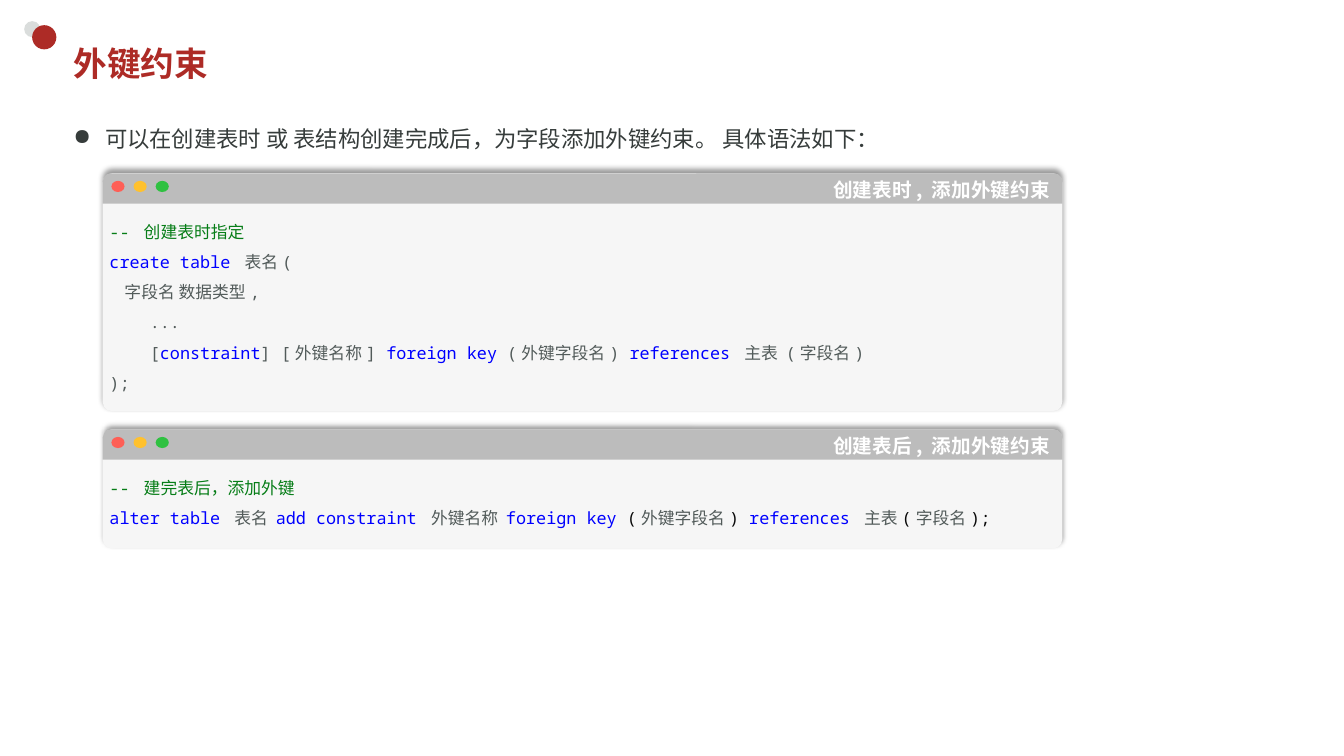
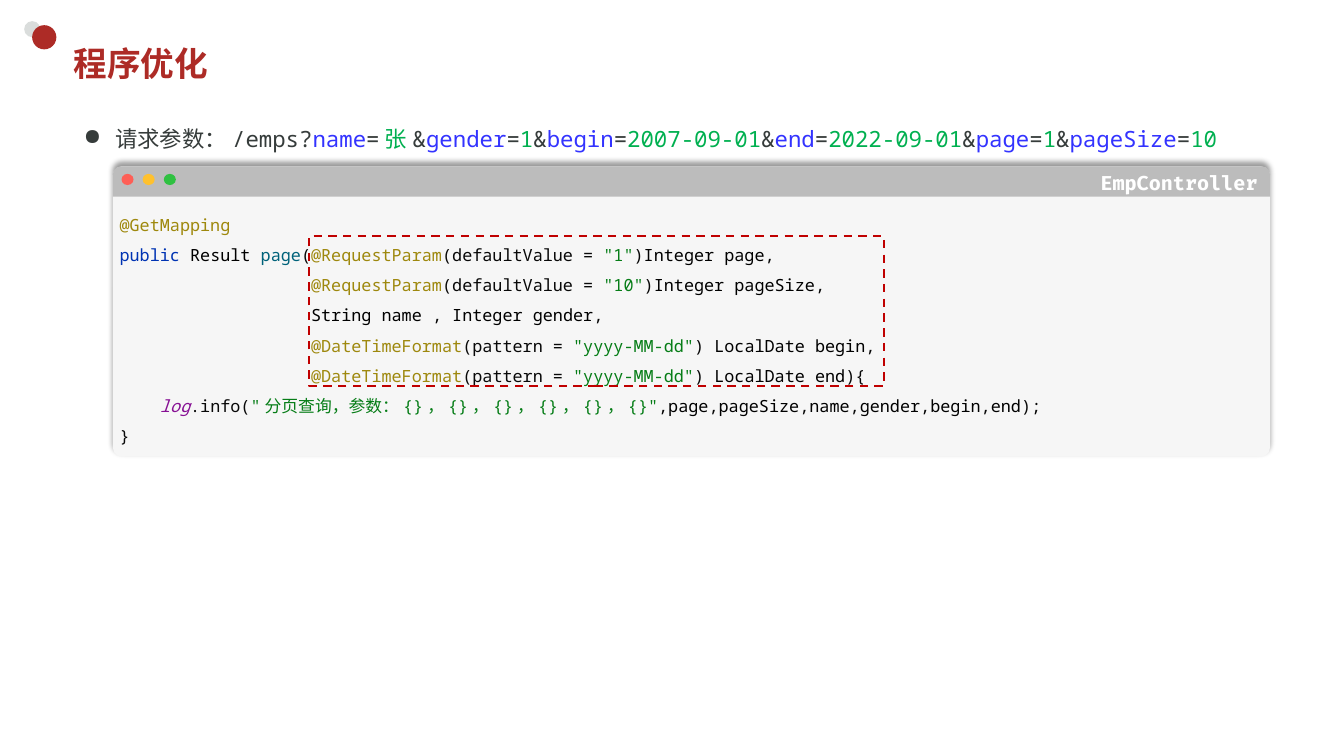
from dataclasses import dataclass

from lxml.etree import SubElement
from pptx import Presentation
from pptx.dml.color import RGBColor
from pptx.enum.dml import MSO_LINE_DASH_STYLE as Dash
from pptx.enum.lang import MSO_LANGUAGE_ID as Language
from pptx.enum.shapes import MSO_SHAPE as Shape
from pptx.enum.text import MSO_ANCHOR as Anchor, PP_ALIGN as Align
from pptx.oxml.ns import qn
from pptx.util import Pt


# Colours, fonts and type sizes
@dataclass(frozen=True)
class Theme:
    red: str = "AD2B26"
    silver: str = "DADDDC"
    ink: str = "363C3B"
    white: str = "FFFFFF"
    panel: str = "F6F6F6"
    header: str = "BCBCBC"
    frame: str = "C00000"
    lights: tuple = ("FE5F56", "FFC12E", "2FC141")
    # Code colours
    comment: str = "067D17"
    string: str = "067D17"
    sql: str = "0000FF"
    name: str = "525B5A"
    java: str = "0033B3"
    method: str = "00627A"
    note: str = "9E880D"
    field: str = "871094"
    mark: str = "080808"
    black: str = "000000"
    # Request parameters
    key: str = "3333FF"
    value: str = "00B050"
    # Type
    mono: str = "Noto Sans Mono"
    han: str = "Noto Sans CJK JP"
    label: str = "Fira Code"
    title_size: int = 24
    body_size: int = 16
    header_size: int = 14
    code_size: int = 12


THEME = Theme()


def add_span(para, text, *, size, color, font=THEME.mono, bold=False, italic=False):
    span = para.add_run()
    span.text = text
    style = span.font
    style.name, style.size = font, Pt(size)
    style.bold, style.italic = bold, italic
    style.color.rgb = RGBColor.from_string(color)
    style.language_id = Language.SIMPLIFIED_CHINESE
    props = span._r.get_or_add_rPr()
    SubElement(props, qn("a:ea"), typeface=THEME.han)


def set_insets(frame, left, top, right, bottom):
    frame.margin_left, frame.margin_top = Pt(left), Pt(top)
    frame.margin_right, frame.margin_bottom = Pt(right), Pt(bottom)


class Deck:
    def __init__(self, theme):
        self.theme = theme
        self.file = Presentation()
        self.file.slide_width, self.file.slide_height = Pt(960), Pt(540)
        self.page = None

    def add_page(self, title):
        theme = self.theme
        self.page = self.file.slides.add_slide(self.file.slide_layouts[5])
        # Corner dots
        self.add_shape(Shape.OVAL, 17.3, 15.1, 11.5, 11.5, theme.silver)
        self.add_shape(Shape.OVAL, 23, 18, 17.3, 17.3, theme.red)
        # Title
        box = self.page.shapes.title
        box.left, box.top, box.width, box.height = Pt(45.4), Pt(26.6), Pt(846), Pt(37.4)
        box.text_frame.vertical_anchor = Anchor.MIDDLE
        para = box.text_frame.paragraphs[0]
        para.alignment = Align.LEFT
        add_span(para, title, size=theme.title_size, color=theme.red, bold=True)

    def add_shape(self, kind, left, top, width, height, fill=None, parent=None):
        shapes = (parent or self.page).shapes
        shape = shapes.add_shape(kind, Pt(left), Pt(top), Pt(width), Pt(height))
        shape.shadow.inherit = False
        shape.line.fill.background()
        if fill:
            shape.fill.solid()
            shape.fill.fore_color.rgb = RGBColor.from_string(fill)
        else:
            shape.fill.background()
        return shape

    def add_bullet(self, left, spans):
        box = self.page.shapes.add_textbox(Pt(left), Pt(75.6), Pt(871), Pt(37.4))
        frame = box.text_frame
        frame.word_wrap = True
        frame.vertical_anchor = Anchor.MIDDLE
        para = frame.paragraphs[0]
        para.line_spacing = 1.5
        props = para._p.get_or_add_pPr()
        props.set("marL", str(Pt(22.5)))
        props.set("indent", str(-Pt(22.5)))
        SubElement(props, qn("a:buChar"), char="●")
        for text, color in spans:
            add_span(para, text, size=self.theme.body_size, color=color)

    def add_shadow(self, shape):
        effects = shape._element.spPr.find(qn("a:effectLst"))
        shadow = SubElement(effects, qn("a:outerShdw"), blurRad=str(Pt(4)),
                            dist=str(Pt(3)), dir=str(270 * 60000), rotWithShape="0")
        color = SubElement(shadow, qn("a:srgbClr"), val=self.theme.black)
        SubElement(color, qn("a:alpha"), val="40000")

    def add_code(self, left, top, width, height, heading, lines, *,
                 font=THEME.han, light=9.4, step=15.8):
        theme = self.theme
        group = self.page.shapes.add_group_shape()
        # Panel with code
        panel = self.add_shape(Shape.ROUNDED_RECTANGLE, left, top, width, height,
                               theme.panel, group)
        panel.adjustments[0] = 6.6 / height
        self.add_shadow(panel)
        frame = panel.text_frame
        frame.word_wrap = True
        frame.vertical_anchor = Anchor.TOP
        set_insets(frame, 2.9, 25.2, 2.9, 0)
        for index, line in enumerate(lines):
            para = frame.add_paragraph() if index else frame.paragraphs[0]
            para.alignment = Align.LEFT
            para.line_spacing = 1.5
            for text, color in line:
                add_span(para, text, size=theme.code_size, color=color,
                         italic=color == theme.field)
        # Header bar
        bar = self.add_shape(Shape.ROUND_2_SAME_RECTANGLE, left, top, width, 21.6,
                             theme.header, group)
        bar.adjustments[0], bar.adjustments[1] = 0.27, 0
        bar.text_frame.vertical_anchor = Anchor.MIDDLE
        para = bar.text_frame.paragraphs[0]
        para.alignment = Align.RIGHT
        add_span(para, heading, size=theme.header_size, color=theme.white,
                 font=font, bold=True)
        # Window lights
        for index, color in enumerate(theme.lights):
            self.add_shape(Shape.OVAL, left + 6.2 + index * step, top + 5.4,
                           light, 8, color, group)

    def add_frame(self, left, top, width, height):
        frame = self.add_shape(Shape.RECTANGLE, left, top, width, height)
        frame.line.color.rgb = RGBColor.from_string(self.theme.frame)
        frame.line.width = Pt(1.5)
        frame.line.dash_style = Dash.DASH


def build_foreign_key(deck):
    t = deck.theme
    deck.add_page("外键约束")
    deck.add_bullet(45.4, [
        ("可以在创建表时 或 表结构创建完成后，为字段添加外键约束。 具体语法如下：", t.ink)])
    deck.add_code(73.4, 123.8, 685.4, 169.9, "创建表时, 添加外键约束", [
        [("-- 创建表时指定", t.comment)],
        [("create table ", t.sql), ("表名(", t.name)],
        [("    字段名 数据类型,", t.name)],
        [("    ...", t.name)],
        [("    [", t.name), ("constraint", t.sql), ("] [外键名称] ", t.name),
         ("foreign key", t.sql), (" (外键字段名) ", t.name),
         ("references ", t.sql), ("主表 (字段名)", t.name)],
        [(");", t.name)],
    ])
    deck.add_code(73.4, 306.7, 685.4, 85, "创建表后, 添加外键约束", [
        [("-- 建完表后，添加外键", t.comment)],
        [("alter table ", t.sql), ("表名 ", t.name), ("add constraint ", t.sql),
         ("外键名称 ", t.name), ("foreign key ", t.sql), ("(", t.mark),
         ("外键字段名", t.name), (") ", t.mark), ("references ", t.sql),
         ("主表", t.name), ("(", t.mark), ("字段名", t.name), (");", t.mark)],
    ])


def build_optimisation(deck):
    t = deck.theme
    deck.add_page("程序优化")

    # Request line
    query = [("name", "张"), ("gender", "1"), ("begin", "2007-09-01"),
             ("end", "2022-09-01"), ("page", "1"), ("pageSize", "10")]
    request = [("请求参数：/emps?", t.ink)]
    for index, (key, value) in enumerate(query):
        if index:
            request.append(("&", t.ink))
        request += [(key, t.key), ("=", t.ink), (value, t.value)]
    deck.add_bullet(52.6, request)

    # Controller method
    def annotated(note, option, value, close, parameter, end):
        return [(note, t.note), (f"({option} = ", t.mark), (value, t.string),
                (close, t.mark), (parameter, t.black), (end, t.mark)]

    def default(value, parameter):
        return annotated("@RequestParam", "defaultValue", value, ")", parameter, ",")

    def date(parameter, end):
        return annotated("@DateTimeFormat", "pattern", '"yyyy-MM-dd"', ") ",
                         parameter, end)

    indent = [(" " * 19, t.mark)]
    arguments = []
    for name in ("page", "pageSize", "name", "gender", "begin", "end"):
        arguments += [(",", t.mark), (name, t.black)]
    deck.add_code(80.6, 118.8, 826.6, 207.4, "EmpController", [
        [("@GetMapping", t.note)],
        [("public ", t.java), ("Result ", t.black), ("page", t.method),
         ("(", t.mark)] + default('"1"', "Integer page"),
        indent + default('"10"', "Integer pageSize"),
        indent + [("String name ", t.black), (", ", t.mark),
                  ("Integer gender", t.black), (",", t.mark)],
        indent + date("LocalDate begin", ","),
        indent + date("LocalDate end", "){"),
        [("    ", t.mark), ("log", t.field), (".info(", t.mark),
         ('"分页查询，参数：{}，{}，{}，{}，{}，{}"', t.string)]
        + arguments + [(");", t.mark)],
        [("}", t.mark)],
    ], font=t.label, light=8.6, step=15.1)
    deck.add_frame(221, 168.5, 410.4, 107.3)


def main():
    deck = Deck(THEME)
    build_foreign_key(deck)
    build_optimisation(deck)
    deck.file.save("out.pptx")


if __name__ == "__main__":
    main()
